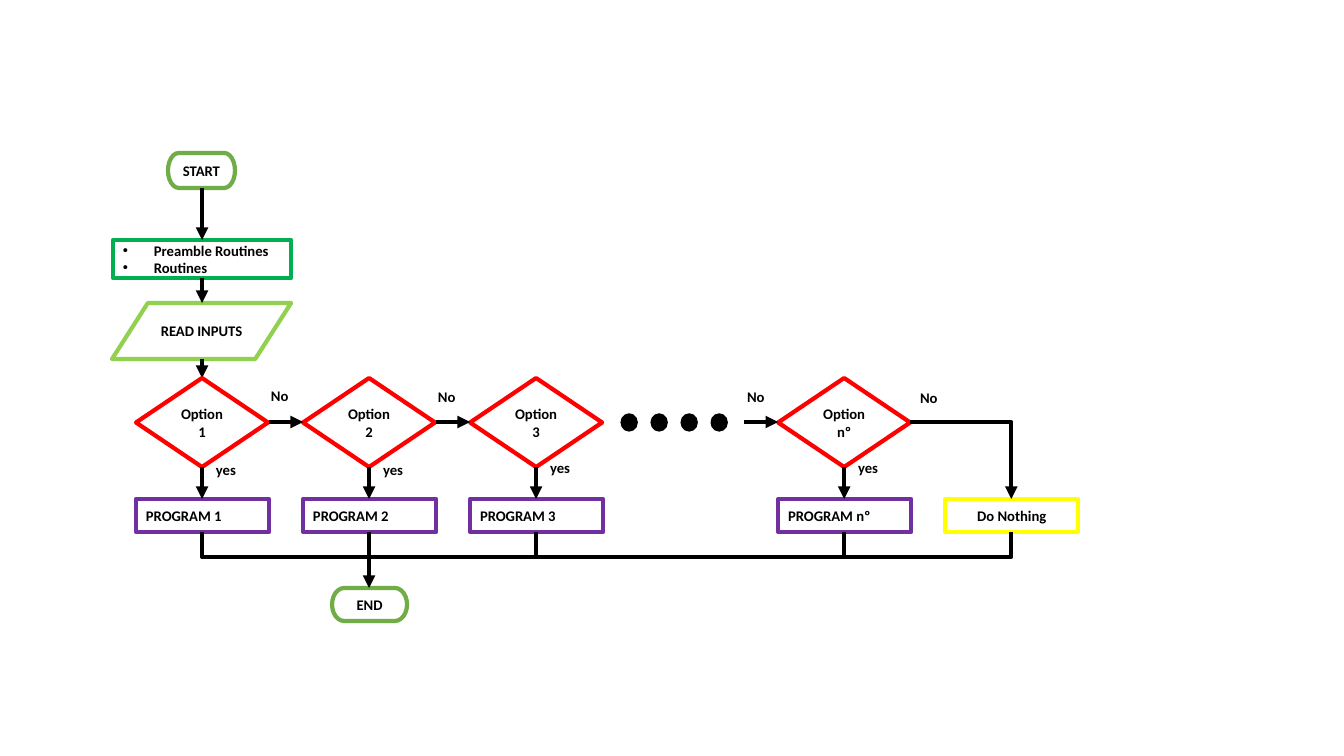
"""Build a flowchart slide: a chain of options, each leading to its program."""
import lxml.etree
import pptx
import pptx.dml.color
import pptx.enum.shapes
import pptx.enum.text
import pptx.oxml.ns
import pptx.util

SHAPE = pptx.enum.shapes.MSO_SHAPE
LINK = pptx.enum.shapes.MSO_CONNECTOR
ALIGN = pptx.enum.text.PP_ALIGN
ANCHOR = pptx.enum.text.MSO_ANCHOR
qn = pptx.oxml.ns.qn

COLORS = {
    "black": "000000", "terminal": "70AD47", "routine": "00B050",
    "input": "92D050", "option": "FF0000", "program": "7030A0",
    "nothing": "FFFF00",
}


class Flowchart:
    font = {"name": "Calibri", "size": pptx.util.Pt(10.5), "bold": True}
    scale = 914400 / 100.8

    def __init__(self, slide):
        self.slide = slide

    def emu(self, *pixels):
        return [round(v * self.scale) for v in pixels]

    def color(self, name):
        return pptx.dml.color.RGBColor.from_string(COLORS[name])

    def outline(self, line, color, width):
        line.color.rgb = self.color(color)
        line.width = pptx.util.Pt(width)

    def fill_text(self, tf, lines, align, bullets=False):
        for i, text in enumerate(lines):
            p = tf.paragraphs[0] if i == 0 else tf.add_paragraph()
            p.alignment = align
            r = p.add_run()
            r.text = text
            for key, value in self.font.items():
                setattr(r.font, key, value)
            r.font.color.rgb = self.color("black")
            if bullets:
                pPr = p._p.get_or_add_pPr()
                indent, = self.emu(31)
                pPr.set("marL", str(indent))
                pPr.set("indent", str(-indent))
                lxml.etree.SubElement(pPr, qn("a:buFont")).set("typeface", "Arial")
                lxml.etree.SubElement(pPr, qn("a:buChar")).set("char", "•")

    def box(self, kind, rect, color, *lines, align=ALIGN.CENTER, bullets=False):
        sp = self.slide.shapes.add_shape(kind, *self.emu(*rect))
        sp.shadow.inherit = False
        sp.fill.background()
        self.outline(sp.line, color, 3)
        sp.text_frame.vertical_anchor = ANCHOR.MIDDLE
        self.fill_text(sp.text_frame, lines, align, bullets)

    def dot(self, x, y):
        sp = self.slide.shapes.add_shape(
            SHAPE.FLOWCHART_CONNECTOR, *self.emu(x, y, 16, 17))
        sp.shadow.inherit = False
        sp.fill.solid()
        sp.fill.fore_color.rgb = self.color("black")
        self.outline(sp.line, "black", 1)

    def label(self, x, y, width, text):
        sp = self.slide.shapes.add_textbox(*self.emu(x, y, width, 28))
        sp.text_frame.word_wrap = False
        sp.text_frame.auto_size = pptx.enum.text.MSO_AUTO_SIZE.SHAPE_TO_FIT_TEXT
        self.fill_text(sp.text_frame, [text], ALIGN.LEFT)

    def link(self, *ends, arrow=True, bent=False):
        kind = LINK.ELBOW if bent else LINK.STRAIGHT
        cxn = self.slide.shapes.add_connector(kind, *self.emu(*ends))
        self.outline(cxn.line, "black", 3)
        spPr = cxn._element.spPr
        if bent:
            spPr.find(qn("a:prstGeom")).set("prst", "bentConnector2")
        if arrow:
            tail = lxml.etree.SubElement(spPr.find(qn("a:ln")), qn("a:tailEnd"))
            tail.set("type", "triangle")
        lxml.etree.SubElement(spPr, qn("a:effectLst"))


prs = pptx.Presentation()
prs.slide_width = pptx.util.Inches(13.33)
prs.slide_height = pptx.util.Inches(7.5)
chart = Flowchart(prs.slides.add_slide(prs.slide_layouts[6]))

first_x, second_x, third_x, last_x, nothing_x = 202, 369, 536, 844, 1011
option_y, option_w, option_h = 378, 132, 89
middle_y = 422
program_y, program_w, program_h = 499, 133, 33
program_end = program_y + program_h
bus_y, end_y = 557, 588

chart.box(SHAPE.FLOWCHART_TERMINATOR, (168, 153, 67, 35), "terminal", "START")
chart.box(SHAPE.FLOWCHART_PROCESS, (113, 240, 178, 38), "routine",
          "Preamble Routines", "Routines", align=ALIGN.LEFT, bullets=True)
chart.box(SHAPE.FLOWCHART_DATA, (112, 303, 179, 56), "input", "READ INPUTS")
chart.box(SHAPE.FLOWCHART_TERMINATOR, (332, end_y, 75, 33), "terminal", "END")

for top, bottom in ((188, 240), (278, 303), (359, option_y)):
    chart.link(first_x, top, first_x, bottom)

options = (("1", first_x, 456), ("2", second_x, 456),
           ("3", third_x, 454), ("nº", last_x, 454))
for number, x, yes_y in options:
    chart.box(SHAPE.FLOWCHART_DECISION,
              (x - option_w // 2, option_y, option_w, option_h),
              "option", f"Option {number}")
    chart.box(SHAPE.FLOWCHART_PROCESS,
              (x - program_w // 2, program_y, program_w, program_h),
              "program", f"PROGRAM {number}", align=ALIGN.LEFT)
    chart.link(x, option_y + option_h, x, program_y)
    chart.label(x + 4, yes_y, 41, "yes")

chart.box(SHAPE.FLOWCHART_PROCESS,
          (nothing_x - program_w // 2, program_y, program_w, program_h),
          "nothing", "Do Nothing")

for x in (second_x, third_x, last_x):
    chart.link(x - option_w // 2 - 34, middle_y, x - option_w // 2, middle_y)
chart.link(last_x + option_w // 2, middle_y, nothing_x, program_y, bent=True)

for x, y in ((261, 382), (428, 383), (737, 383), (910, 384)):
    chart.label(x, y, 38, "No")

for i in range(4):
    chart.dot(621 + 30 * i, 414)

for x in (first_x, third_x, last_x, nothing_x):
    chart.link(second_x, bus_y, x, program_end, arrow=False, bent=True)
chart.link(second_x, program_end, second_x, end_y)

prs.save("out.pptx")
